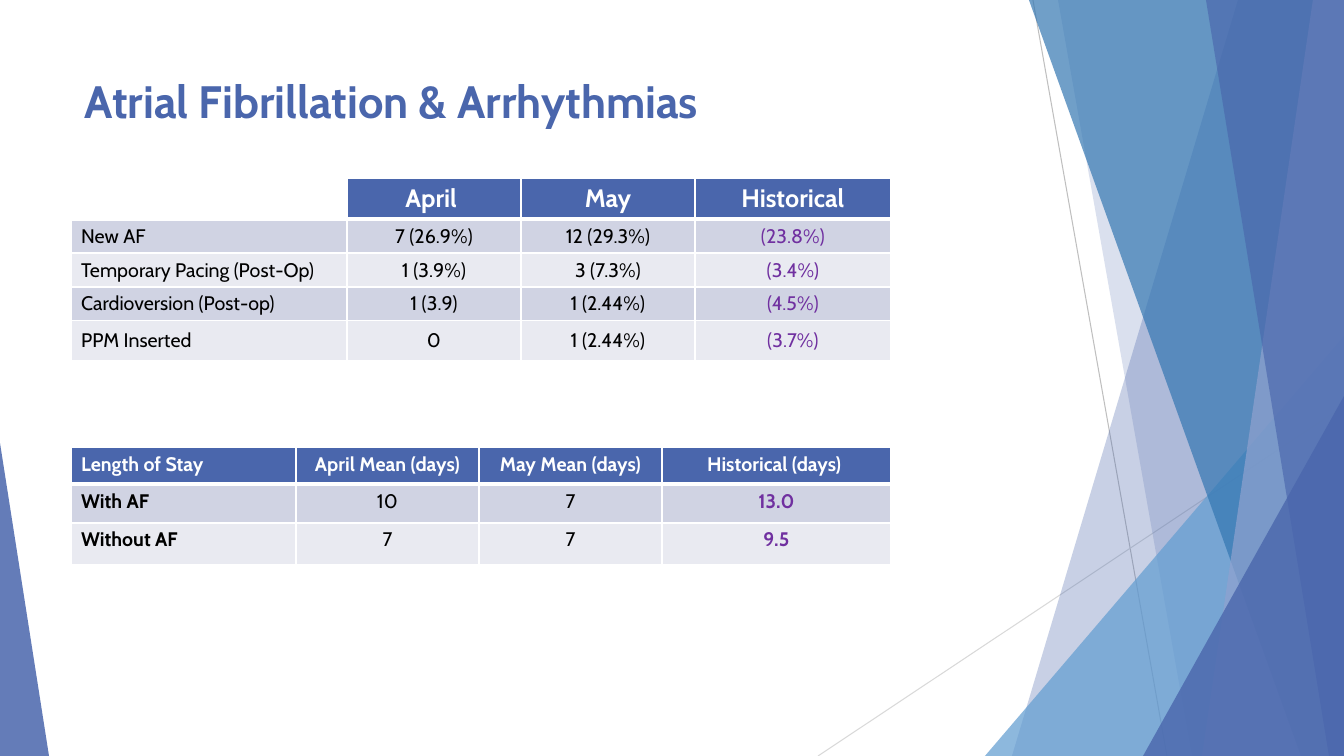
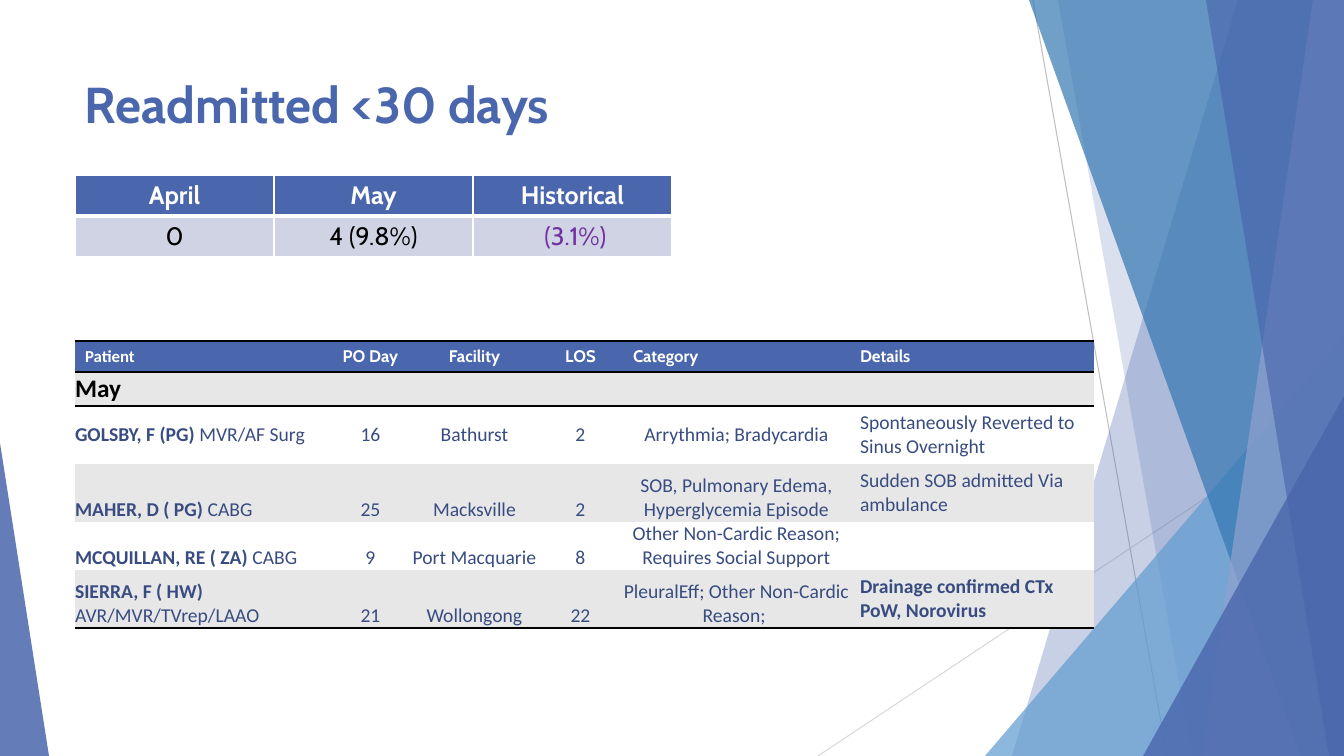
from lxml.etree import SubElement
from pptx import Presentation
from pptx.dml.color import RGBColor
from pptx.enum.shapes import MSO_CONNECTOR as Link, MSO_SHAPE as Kind
from pptx.enum.text import MSO_ANCHOR as Anchor, PP_ALIGN as Align
from pptx.oxml.ns import qn
from pptx.util import Pt

PX = 12192000 / 1344
BLUE, WHITE, BLACK = "4A66AC", "FFFFFF", "000000"
PURPLE, NAVY, GREY = "7030A0", "384C81", "E7E7E7"
BANDS = ["E9EAF1", "D0D3E3"]
PLAIN = "{2D5ABB26-0587-4C30-8999-92F81FD0307C}"


def paint(fill, tone, alpha=100):
    fill.solid()
    fill.fore_color.rgb = RGBColor.from_string(tone)
    if alpha < 100:
        node = fill._xPr.find(qn("a:solidFill"))[0]
        SubElement(node, qn("a:alpha"), val=str(alpha * 1000))


def dress(cell, runs, tone, align, anchor, edges, pad=True):
    """Runs are (text, size, font, tone, bold); edges map a side to (tone, points)."""
    props = cell._tc.get_or_add_tcPr()
    for side in "LRTB":
        if side in edges:
            hue, wide = edges[side]
            line = SubElement(props, qn("a:ln" + side), w=str(Pt(wide)))
            SubElement(SubElement(line, qn("a:solidFill")), qn("a:srgbClr"), val=hue)
    if tone:
        paint(cell.fill, tone)
    else:
        cell.fill.background()
    if not pad:
        cell.margin_left = cell.margin_right = cell.margin_top = cell.margin_bottom = 0
    cell.vertical_anchor = anchor
    par = cell.text_frame.paragraphs[0]
    par.alignment = align
    for text, size, face, hue, bold in runs:
        run = par.add_run()
        run.text = text
        run.font.size, run.font.name, run.font.bold = Pt(size), face, bold
        paint(run.font.fill, hue)


deck = Presentation()
deck.slide_width, deck.slide_height = round(1344 * PX), round(756 * PX)

# Backdrop: lines, then facets from back to front
lines = [(1033, 0, 1167, 756, "BFBFBF"), (1344, 406, 818, 756, "D9D9D9")]
# A pair is the top and foot of a slanted left edge; five numbers are a
# triangle's box and the place of its peak
facets = [
    ((1238, 1012), BLUE, 30),
    ((1058, 1192), BLUE, 20),
    ((985, 336, 359, 420, 1), "629DD1", 72),
    ((1029, 1301), "3477B2", 70),
    ((1313, 1202), "90A2CF", 70),
    ((1206, 1329), BLUE, 65),
    ((1143, 396, 201, 360, 1), BLUE, 80),
    ((0, 443, 49, 313, 0), BLUE, 85),
]

slides = []
for title, size in [("Atrial Fibrillation & Arrhythmias", 32.4), ("Readmitted <30 days", 36)]:
    slide = deck.slides.add_slide(deck.slide_layouts[6])
    slides.append(slide)
    for *ends, tone in lines:
        line = slide.shapes.add_connector(Link.STRAIGHT, *[round(n * PX) for n in ends])
        paint(line.line.fill, tone)
        line.line.width = Pt(0.75)
        SubElement(line._element.spPr, qn("a:effectLst"))
    for form, tone, alpha in facets:
        if len(form) == 2:
            top, foot = form
            pen = slide.shapes.build_freeform(top, 0, scale=PX)
            pen.add_line_segments([(1344, 0), (1344, 756), (foot, 756)])
            facet = pen.convert_to_shape()
        else:
            *box, peak = form
            facet = slide.shapes.add_shape(
                Kind.ISOSCELES_TRIANGLE, *[round(n * PX) for n in box])
            facet.adjustments[0] = peak
        facet.shadow.inherit = False
        facet.line.fill.background()
        paint(facet.fill, tone, alpha)

    # Title
    frame = slide.shapes.add_textbox(*[round(n * PX) for n in (75, 68, 948, 70)]).text_frame
    frame.word_wrap = True
    run = frame.paragraphs[0].add_run()
    run.text = title
    run.font.size, run.font.name, run.font.bold = Pt(size), "Cabin", True
    paint(run.font.fill, BLUE)

# Figures
rates = [
    ["", "April ", "May", "Historical"],
    ["New AF", "7 (26.9%)", "12 (29.3%)", "(23.8%)"],
    ["Temporary Pacing (Post-Op)", "1 (3.9%)", "3 (7.3%)", "(3.4%)"],
    ["Cardioversion (Post-op)", "1 (3.9)", "1 (2.44%)", "(4.5%)"],
    ["PPM Inserted", "0", "1 (2.44%)", "(3.7%)"],
]
stays = [
    ["Length of Stay", "April Mean (days)", "May Mean (days)", "Historical (days) "],
    ["With AF", "10", "7", "13.0"],
    ["Without AF", "7", "7", "9.5"],
]
returns = [["April", "May", "Historical"], ["0", "4 (9.8%)", " (3.1%)"]]
# Each patient: name, surgery, day, facility, stay, category, details
patients = [
    ("GOLSBY, F (PG) ", "MVR/AF Surg", "16", "Bathurst", "2",
     "Arrythmia; Bradycardia", "Spontaneously Reverted to Sinus Overnight"),
    ("MAHER, D ( PG) ", "CABG", "25", "Macksville", "2",
     "SOB, Pulmonary Edema, Hyperglycemia Episode", "Sudden SOB admitted Via ambulance"),
    ("MCQUILLAN, RE ( ZA) ", "CABG", "9", "Port Macquarie", "8",
     "Other Non-Cardic Reason; Requires Social Support", ""),
    ("SIERRA, F ( HW) ", "AVR/MVR/TVrep/LAAO", "21", "Wollongong", "22",
     "PleuralEff; Other Non-Cardic Reason; ", "Drainage confirmed CTx PoW, Norovirus"),
]

# Empty tables
grids = []
for slide, left, top, cols, rows in [
    (slides[0], 71, 178, [276, 174, 174, 196], [41, 34, 34, 34, 40]),
    (slides[0], 71, 447, [225, 183, 183, 229], [37, 39, 42]),
    (slides[1], 75, 175, [199] * 3, [41] * 2),
    (slides[1], 75, 341, [255, 81, 127, 85, 227, 244], [31, 34, 58, 58, 48, 58]),
]:
    box = [round(n * PX) for n in (left, top, sum(cols), sum(rows))]
    grid = slide.shapes.add_table(len(rows), len(cols), *box).table
    grid._tbl.tblPr.find(qn("a:tableStyleId")).text = PLAIN
    for col, wide in zip(grid.columns, cols):
        col.width = round(wide * PX)
    for row, high in zip(grid.rows, rows):
        row.height = round(high * PX)
    grids.append(grid)

# Summary tables: body text, head size, body size, bold columns, anchor
looks = [
    (rates, 18, 14, (), Anchor.MIDDLE),
    (stays, 14, 14, (0, 3), Anchor.TOP),
    (returns, 18, 18, (), Anchor.MIDDLE),
]
for grid, (body, big, small, heavy, anchor) in zip(grids, looks):
    for r, row in enumerate(body):
        edges = dict.fromkeys("LRTB", (WHITE, 1))
        if r < 2:
            edges["T" if r else "B"] = (WHITE, 3)
        for c, text in enumerate(row):
            last = c == len(row) - 1
            if r == 0:
                tone = BLUE if text else None
                look = (big, "Cabin", WHITE, True)
            else:
                tone = BANDS[r % 2]
                look = (small, "Cabin", PURPLE if last else BLACK, c in heavy)
            align = Align.LEFT if c == 0 and len(row) == 4 else Align.CENTER
            dress(grid.cell(r, c), [(text, *look)] if text else [],
                  tone, align, anchor, edges, bool(text))

# Patient table: head and month
grid = grids[3]
rule = (BLACK, 2)
for c, text in enumerate(["Patient", "PO Day", "Facility", "LOS", "Category", "Details"]):
    face = "Cabin" if c else "Calibri"
    align = Align.CENTER if c in (1, 2, 3) else Align.LEFT
    dress(grid.cell(0, c), [(text, 12, face, WHITE, True)], BLUE, align,
          Anchor.MIDDLE, {"T": rule, "B": rule})
    month = [] if c else [("May", 18, "Calibri", BLACK, True)]
    dress(grid.cell(1, c), month, GREY, Align.LEFT, Anchor.MIDDLE, {"T": rule}, False)

# Patient table: one row each
for r, (name, work, *facts) in enumerate(patients, 2):
    final = r == 5
    look = (14, "Calibri", NAVY)
    cells = [[(name, *look, True), (work, *look, False)]]
    cells += [[(text, *look, final and c == 4)] if text else []
              for c, text in enumerate(facts)]
    for c, runs in enumerate(cells):
        align = Align.LEFT if c in (0, 5) else Align.CENTER
        anchor = Anchor.MIDDLE if r == 2 or c == 5 else Anchor.BOTTOM
        dress(grid.cell(r, c), runs, GREY if r % 2 else WHITE, align, anchor,
              {"B": rule} if final else {}, c == 5 and bool(runs))

deck.save("out.pptx")
